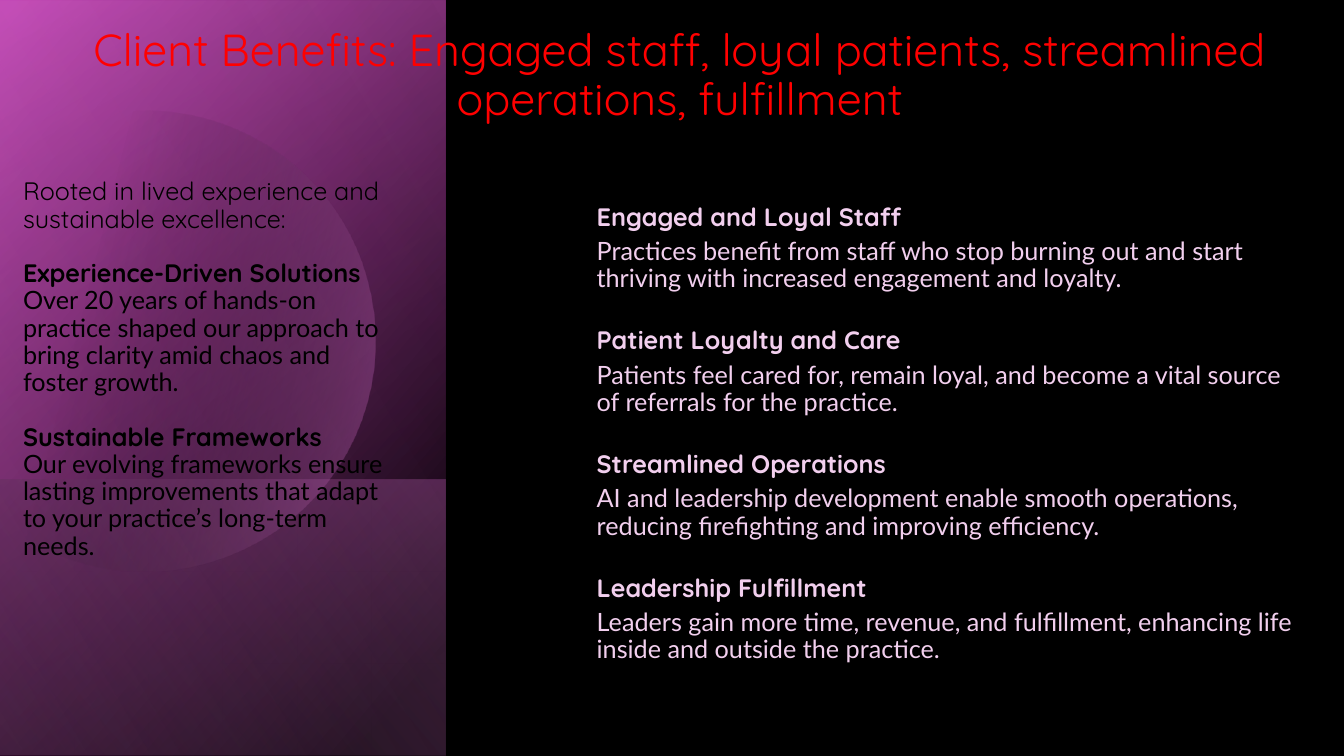
from pptx import Presentation
from pptx.dml.color import RGBColor
from pptx.enum.shapes import MSO_SHAPE
from pptx.enum.text import MSO_ANCHOR, PP_ALIGN
from pptx.oxml.ns import qn
from pptx.util import Inches, Pt
from lxml import etree

RECTANGLE = MSO_SHAPE.RECTANGLE
TOP, BOTTOM = MSO_ANCHOR.TOP, MSO_ANCHOR.BOTTOM
LEFT, CENTER = PP_ALIGN.LEFT, PP_ALIGN.CENTER
BLACK = RGBColor(0x00, 0x00, 0x00)
RED = RGBColor(0xFF, 0x00, 0x00)
MAGENTA = RGBColor(0xBF, 0x34, 0xB0)
ORCHID = RGBColor(0xD7, 0x6D, 0xCC)
PINK = RGBColor(0xE7, 0xA7, 0xE0)
PALE_PINK = RGBColor(0xF2, 0xCF, 0xEE)
HEADING_FONT, BODY_FONT = "Quicksand", "Lato"

PANEL_LAYERS = [
    ((-1.54, 1.54, 7.5, 4.42), [(8, BLACK, 100), (100, MAGENTA, 100)], 50),
    ((-1.54, 1.55, 7.5, 4.42), [(0, BLACK, 0), (99, ORCHID, 46)], 30),
    ((0.84, 3.92, 2.74, 4.42), [(2, ORCHID, 29), (100, BLACK, 30)], 130),
]
PANEL_SHEEN = ((-1.54, 1.53, 7.5, 4.42), [(0, BLACK, 0), (99, PINK, 11)], 120)

DISC_START = (1.49, 1.1)
DISC_RIGHT = [
    ((2.46, 1.12), (3.35, 1.77), (3.63, 2.75)),
    ((3.98, 3.97), (3.28, 5.23), (2.07, 5.58)),
    ((1.31, 5.8), (0.53, 5.61), (-0.03, 5.14)),
]
DISC_EDGE = [(-0.15, 5.03), (-0.15, 1.75), (0, 1.61)]
DISC_LEFT = [
    ((0.23, 1.42), (0.5, 1.28), (0.8, 1.19)),
    ((1.03, 1.13), (1.26, 1.1), DISC_START),
]

BENEFITS = [
    ("Engaged and Loyal Staff",
     "Practices benefit from staff who stop burning out and start thriving with increased engagement and loyalty."),
    ("Patient Loyalty and Care",
     "Patients feel cared for, remain loyal, and become a vital source of referrals for the practice."),
    ("Streamlined Operations",
     "AI and leadership development enable smooth operations, reducing firefighting and improving efficiency."),
    ("Leadership Fulfillment",
     "Leaders gain more time, revenue, and fulfillment, enhancing life inside and outside the practice."),
]
FOUNDATIONS = [
    ("Experience-Driven Solutions",
     "Over 20 years of hands-on practice shaped our approach to bring clarity amid chaos and foster growth."),
    ("Sustainable Frameworks",
     "Our evolving frameworks ensure lasting improvements that adapt to your practice’s long-term needs."),
]


def curve_points(start, curves, steps=20):
    """Return points along a chain of cubic curves."""
    points = []
    for first, second, end in curves:
        for step in range(1, steps + 1):
            t = step / steps
            weights = ((1 - t) ** 3, 3 * t * (1 - t) ** 2, 3 * t * t * (1 - t), t ** 3)
            anchors = (start, first, second, end)
            points.append(tuple(sum(w * a[axis] for w, a in zip(weights, anchors)) for axis in (0, 1)))
        start = end
    return points


def entries(pairs, heading_gap, body_gap):
    """Turn heading and body pairs into paragraph specifications."""
    rows = []
    for heading, body in pairs:
        rows.append((heading, HEADING_FONT, True, heading_gap))
        rows.append((body, BODY_FONT, False, body_gap))
    return rows


class BenefitsSlide:
    """Draws styled elements on the current slide."""

    def __init__(self, slide):
        """Keep the slide and paint its background."""
        self.slide = slide
        self.line_spacing = 0.9
        background = slide.background.fill
        background.solid()
        background.fore_color.rgb = BLACK

    def plain(self, shape):
        """Remove the shadow and the outline."""
        shape.shadow.inherit = False
        shape.line.fill.background()

    def gradient(self, shape, stops, angle):
        """Fill a shape with a two-stop gradient with opacity."""
        shape.fill.gradient()
        shape.fill.gradient_angle = 360 - angle
        for stop, (position, color, _) in zip(shape.fill.gradient_stops, stops):
            stop.position = position / 100
            stop.color.rgb = color
        colors = shape._element.spPr.findall(".//" + qn("a:gs") + "/" + qn("a:srgbClr"))
        for element, (_, _, opacity) in zip(colors, stops):
            if opacity < 100:
                etree.SubElement(element, qn("a:alpha"), val=str(opacity * 1000))

    def backdrop(self, width, height):
        """Add the solid black backdrop."""
        shape = self.slide.shapes.add_shape(RECTANGLE, 0, 0, width, height)
        self.plain(shape)
        shape.fill.solid()
        shape.fill.fore_color.rgb = BLACK

    def panel_layer(self, box, stops, angle):
        """Add one mirrored, quarter-turned gradient layer."""
        shape = self.slide.shapes.add_shape(RECTANGLE, *map(Inches, box))
        self.plain(shape)
        shape.rotation = 90
        shape._element.spPr.xfrm.set("flipH", "1")
        self.gradient(shape, stops, angle)

    def disc(self, points, stops, angle):
        """Add the translucent disc cut off at the slide edge."""
        outline = [(Inches(x), Inches(y)) for x, y in points]
        builder = self.slide.shapes.build_freeform(*outline[0], scale=1.0)
        builder.add_line_segments(outline[1:], close=True)
        shape = builder.convert_to_shape()
        self.plain(shape)
        self.gradient(shape, stops, angle)

    def text(self, box, rows, color, size=18, anchor=TOP, align=LEFT):
        """Add a text box with one run per paragraph."""
        frame = self.slide.shapes.add_textbox(*map(Inches, box)).text_frame
        frame.word_wrap = True
        frame.vertical_anchor = anchor
        for index, (words, font, bold, gap) in enumerate(rows):
            paragraph = frame.add_paragraph() if index else frame.paragraphs[0]
            paragraph.alignment = align
            paragraph.line_spacing = self.line_spacing
            paragraph.space_before = Pt(gap if index else 0)
            run = paragraph.add_run()
            run.text = words
            run.font.name = font
            run.font.size = Pt(size)
            run.font.bold = bold
            run.font.color.rgb = color


def main():
    """Build and save the slide."""
    deck = Presentation()
    deck.slide_width, deck.slide_height = Inches(13.33), Inches(7.5)
    page = BenefitsSlide(deck.slides.add_slide(deck.slide_layouts[6]))

    page.backdrop(deck.slide_width, deck.slide_height)
    for layer in PANEL_LAYERS:
        page.panel_layer(*layer)
    disc_points = [DISC_START] + curve_points(DISC_START, DISC_RIGHT)
    disc_points += DISC_EDGE + curve_points(DISC_EDGE[-1], DISC_LEFT)
    page.disc(disc_points, [(29, BLACK, 0), (100, ORCHID, 43)], 14)
    page.panel_layer(*PANEL_SHEEN)

    title = "Client Benefits: Engaged staff, loyal patients, streamlined operations, fulfillment"
    page.text((0.13, 0.23, 13.23, 0.52), [(title, HEADING_FONT, False, 0)], RED, size=32, align=CENTER)
    page.text((5.82, 1.98, 7.17, 6.07), entries(BENEFITS, 25, 5), PALE_PINK)
    intro = ("Rooted in lived experience and sustainable excellence:", HEADING_FONT, False, 0)
    page.text((0.13, 1.48, 3.81, 4.13), [intro] + entries(FOUNDATIONS, 19.5, 0), BLACK, anchor=BOTTOM)

    deck.save("out.pptx")


if __name__ == "__main__":
    main()
